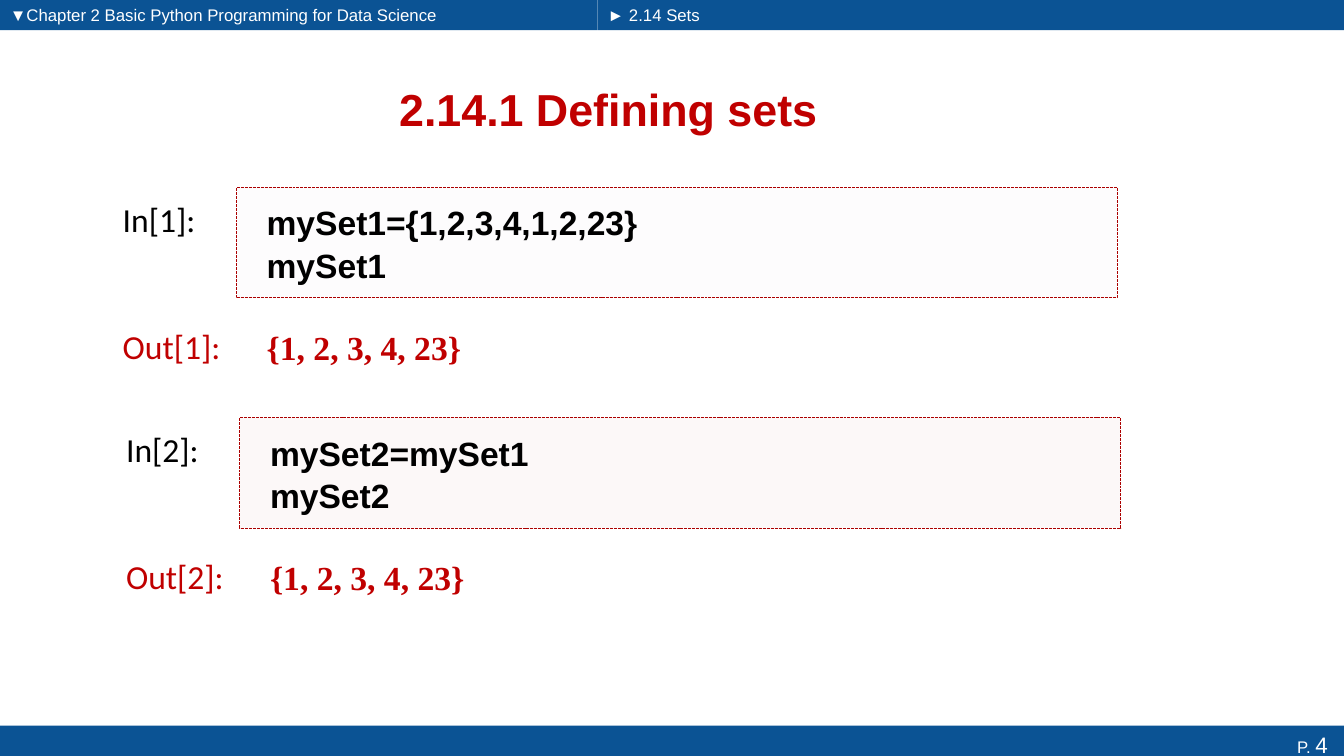
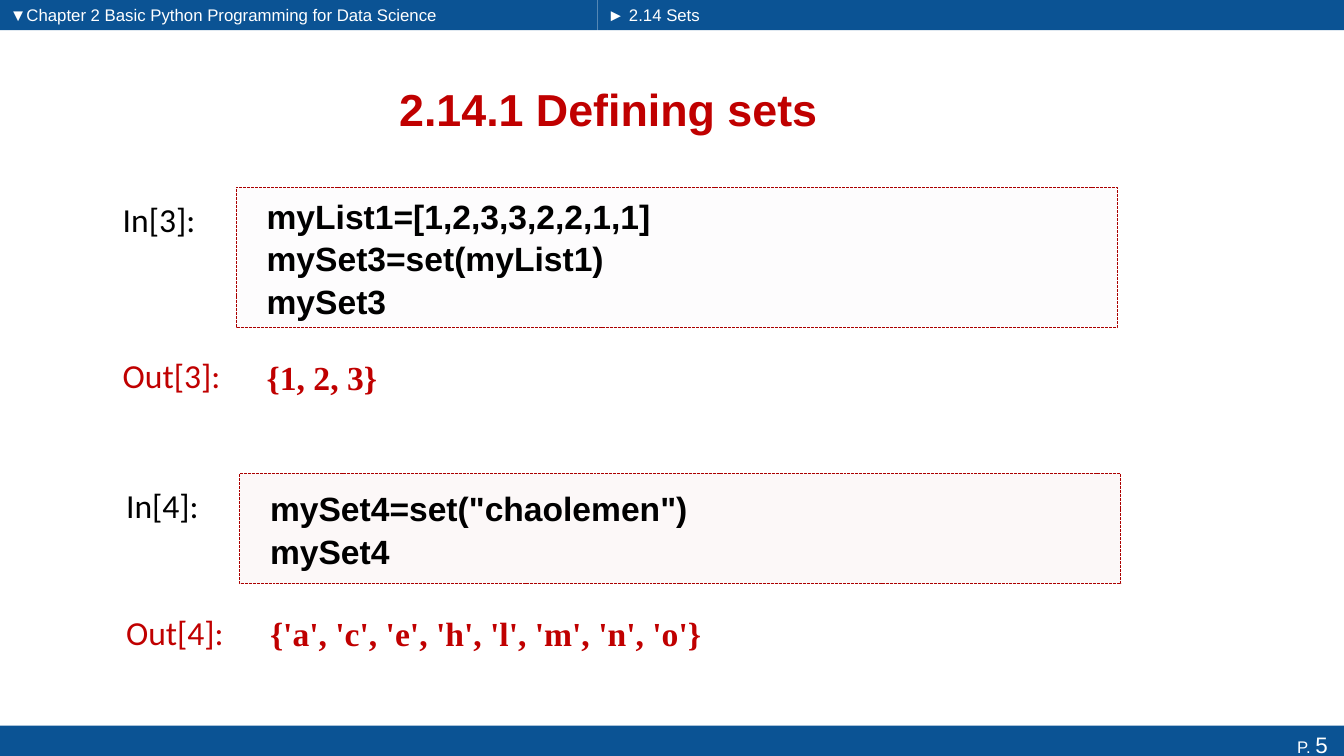
from dataclasses import dataclass

from lxml import etree
from pptx import Presentation
from pptx.dml.color import RGBColor
from pptx.enum.dml import MSO_LINE
from pptx.enum.shapes import MSO_SHAPE
from pptx.enum.text import MSO_ANCHOR, PP_ALIGN
from pptx.oxml.ns import qn
from pptx.util import Pt

RECTANGLE = MSO_SHAPE.RECTANGLE
SHORT_DASH = MSO_LINE.SQUARE_DOT
TOP, MIDDLE = MSO_ANCHOR.TOP, MSO_ANCHOR.MIDDLE
LEFT, CENTER, RIGHT = PP_ALIGN.LEFT, PP_ALIGN.CENTER, PP_ALIGN.RIGHT


@dataclass(frozen=True)
class Theme:
    band: str = "0B5394"
    white: str = "FFFFFF"
    black: str = "000000"
    accent: str = "C00000"
    border: str = "AB0000"
    tints: tuple = ("F1EEF4", "EDCDCB")
    tint_opacity: int = 13
    sans: str = "Arial"
    label: str = "Calibri"
    serif: str = "Times New Roman"
    title_size: int = 32
    body_size: int = 24
    page_size: int = 16
    small_size: int = 12


THEME = Theme()
SLIDE_WIDTH, SLIDE_HEIGHT = 960, 540
HEADER_HEIGHT = FOOTER_HEIGHT = 21.6
HEADER_SPLIT = 427
CELL_LEFTS = (80.6, 83)
CELL_INDENT, CODE_WIDTH = 88.3, 629.3
LABEL_DROP, LABEL_HEIGHT = 4.6, 36
OUTPUT_GAP, OUTPUT_HEIGHT = 11.8, 46.8
CODE_HEIGHTS = {2: 79, 3: 100}
CODE_INSET = 21.6
CODE_SPACING = 1.05

CHAPTER = "▼Chapter 2 Basic Python Programming for Data Science"
SECTION = "► 2.14 Sets"
TITLE = "2.14.1 Defining sets"
PAGES = [
    (4, [
        (1, 133.8, ["mySet1={1,2,3,4,1,2,23}", "mySet1"], "{1, 2, 3, 4, 23}"),
        (2, 298.2, ["mySet2=mySet1", "mySet2"], "{1, 2, 3, 4, 23}"),
    ]),
    (5, [
        (3, 133.8, ["myList1=[1,2,3,3,2,2,1,1]", "mySet3=set(myList1)", "mySet3"],
         "{1, 2, 3}"),
        (4, 338, ['mySet4=set("chaolemen")', "mySet4"],
         "{'a', 'c', 'e', 'h', 'l', 'm', 'n', 'o'}"),
    ]),
]


def add_run(paragraph, text, size, font, color, bold=False):
    run = paragraph.add_run()
    run.text = text
    run.font.size = Pt(size)
    run.font.name = font
    run.font.bold = bold
    run.font.color.rgb = RGBColor.from_string(color)


def write_text(shape, lines, size=THEME.body_size, font=THEME.sans,
               color=THEME.black, bold=False, align=LEFT, anchor=TOP,
               left_inset=7.2, spacing=None):
    frame = shape.text_frame
    frame.word_wrap = True
    frame.vertical_anchor = anchor
    frame.margin_left = Pt(left_inset)
    for index, line in enumerate(lines):
        paragraph = frame.add_paragraph() if index else frame.paragraphs[0]
        paragraph.alignment = align
        if spacing:
            paragraph.line_spacing = spacing
        add_run(paragraph, line, size, font, color, bold)


def add_text(shapes, box, text, **text_format):
    write_text(shapes.add_textbox(*map(Pt, box)), [text], **text_format)


def add_rectangle(shapes, box, fill):
    shape = shapes.add_shape(RECTANGLE, *map(Pt, box))
    shape.shadow.inherit = False
    shape.fill.solid()
    shape.fill.fore_color.rgb = RGBColor.from_string(fill)
    shape.line.fill.background()
    return shape


def set_opacity(shape, percent):
    color = shape._element.spPr.find(qn("a:solidFill"))[0]
    etree.SubElement(color, qn("a:alpha")).set("val", str(percent * 1000))


def add_header(shapes, box):
    left, top, width, height = box
    parts = [(left, HEADER_SPLIT, CHAPTER),
             (left + HEADER_SPLIT, width - HEADER_SPLIT, SECTION)]
    for part_left, part_width, text in parts:
        part = (part_left, top, part_width, height)
        add_rectangle(shapes, part, THEME.band)
        add_text(shapes, part, text, size=THEME.small_size, color=THEME.white)


def add_footer(shapes, box, number):
    footer = add_rectangle(shapes, box, THEME.band)
    write_text(footer, ["P. "], size=THEME.small_size, color=THEME.white,
               align=RIGHT)
    add_run(footer.text_frame.paragraphs[0], f"{number} ", THEME.page_size,
            THEME.sans, THEME.white)


def add_cell(shapes, left, top, tint, number, code, output):
    group = shapes.add_group_shape().shapes
    code_left = left + CELL_INDENT
    code_height = CODE_HEIGHTS[len(code)]
    output_top = top + code_height + OUTPUT_GAP
    labels = [("In", top, 80, THEME.black),
              ("Out", output_top, 97, THEME.accent)]
    for name, label_top, width, color in labels:
        add_text(group, (left, label_top + LABEL_DROP, width, LABEL_HEIGHT),
                 f"{name}[{number}]:", font=THEME.label, color=color)

    code_box = add_rectangle(
        group, (code_left, top, CODE_WIDTH, code_height), tint)
    set_opacity(code_box, THEME.tint_opacity)
    code_box.line.color.rgb = RGBColor.from_string(THEME.border)
    code_box.line.width = Pt(0.7)
    code_box.line.dash_style = SHORT_DASH
    write_text(code_box, code, bold=True, anchor=MIDDLE,
               left_inset=CODE_INSET, spacing=CODE_SPACING)
    add_text(group, (code_left, output_top, CODE_WIDTH, OUTPUT_HEIGHT), output,
             font=THEME.serif, color=THEME.accent, bold=True, anchor=MIDDLE,
             left_inset=CODE_INSET)


def add_notebook_slide(presentation, number, cells):
    shapes = presentation.slides.add_slide(presentation.slide_layouts[6]).shapes
    add_header(shapes, (0, 0, SLIDE_WIDTH, HEADER_HEIGHT))
    add_footer(shapes, (0, SLIDE_HEIGHT - FOOTER_HEIGHT, SLIDE_WIDTH,
                        FOOTER_HEIGHT), number)
    add_text(shapes, (48.7, 44.8, 772, 65), TITLE, size=THEME.title_size,
             color=THEME.accent, bold=True, align=CENTER, anchor=MIDDLE)
    for left, tint, (cell_number, top, code, output) in zip(
            CELL_LEFTS, THEME.tints, cells):
        add_cell(shapes, left, top, tint, cell_number, code, output)


def main():
    presentation = Presentation()
    presentation.slide_width = Pt(SLIDE_WIDTH)
    presentation.slide_height = Pt(SLIDE_HEIGHT)
    for number, cells in PAGES:
        add_notebook_slide(presentation, number, cells)
    presentation.save("out.pptx")


if __name__ == "__main__":
    main()
